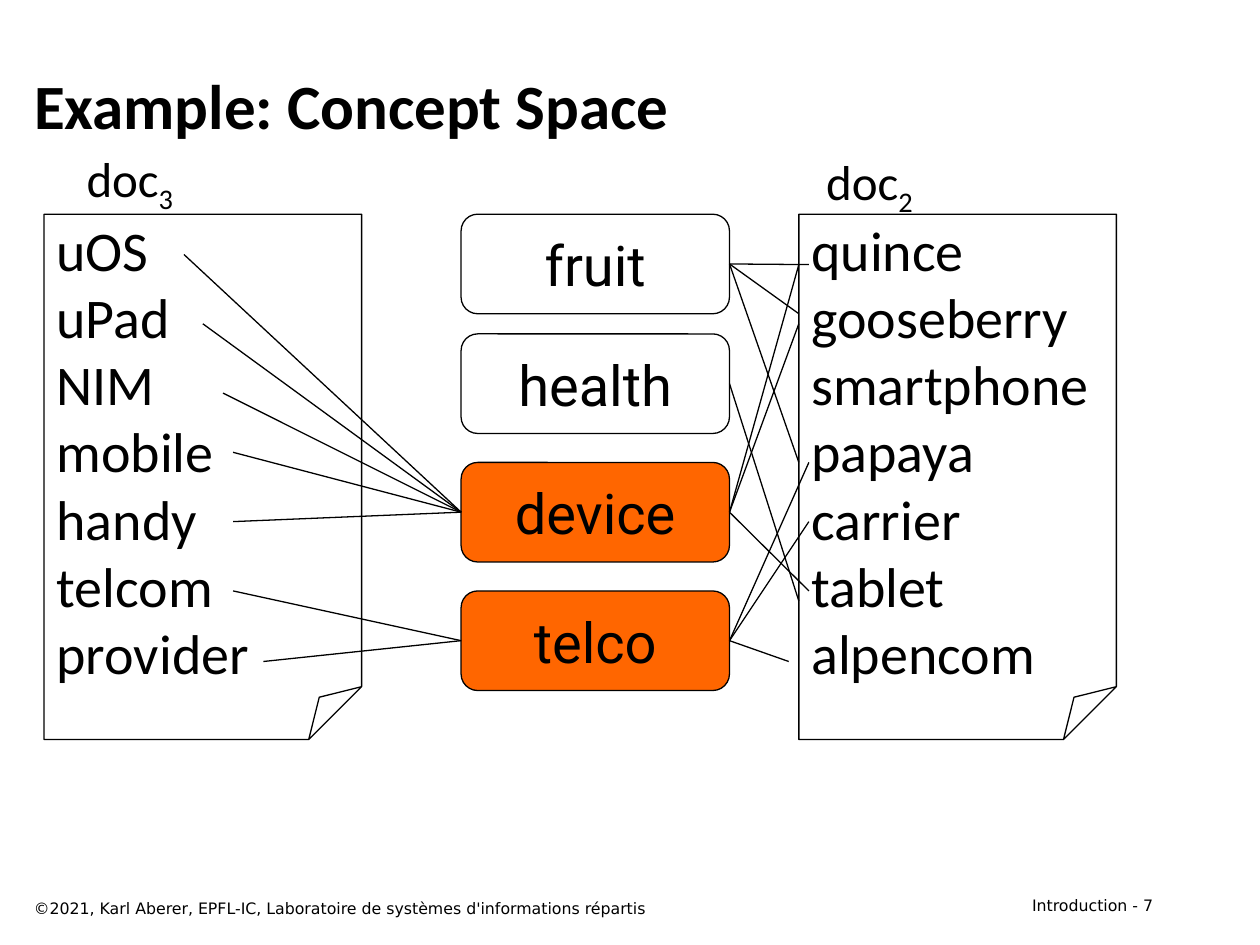
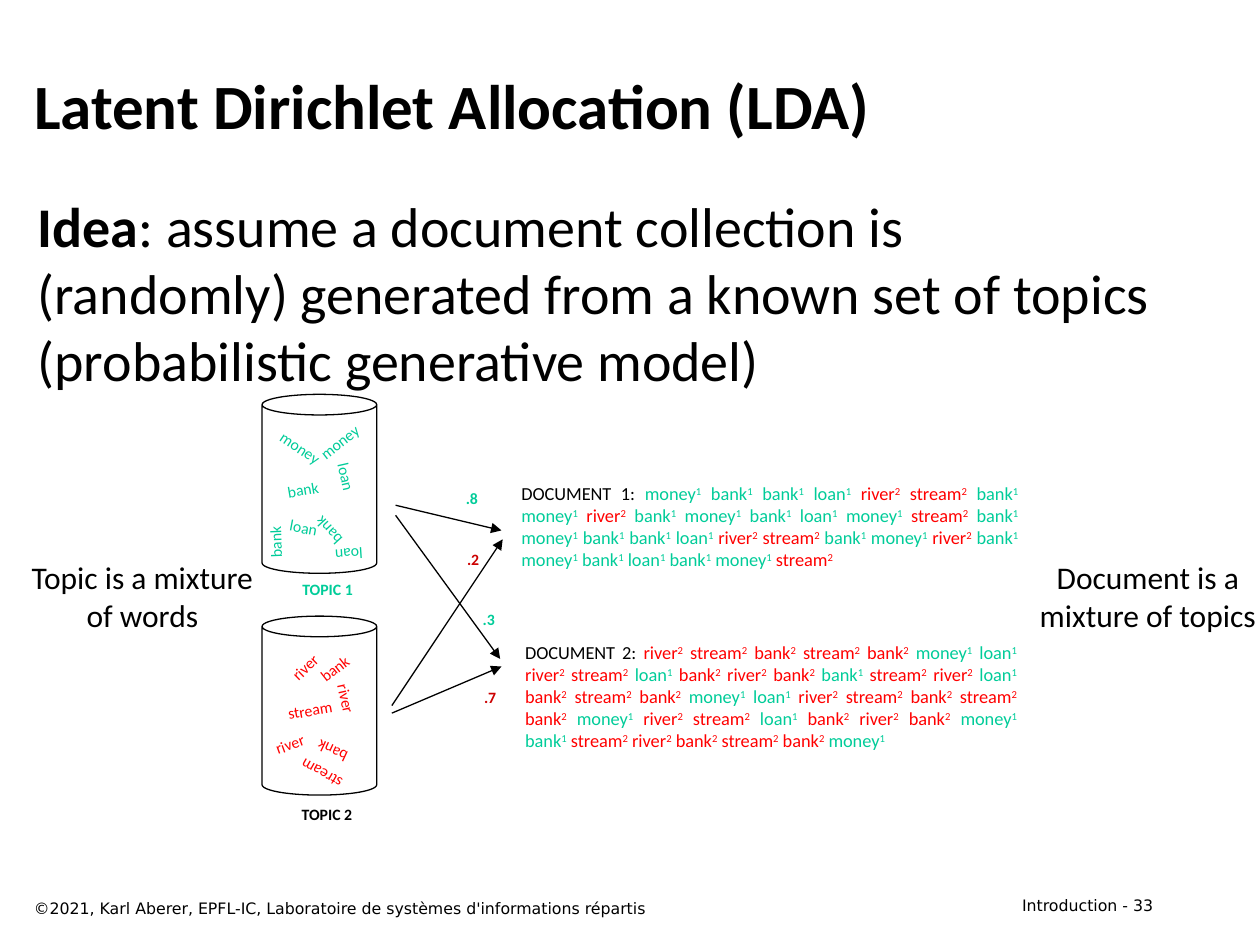
from dataclasses import dataclass
from typing import NamedTuple

from lxml.etree import SubElement
from pptx import Presentation
from pptx.dml.color import RGBColor
from pptx.enum.shapes import MSO_CONNECTOR as Line, MSO_SHAPE as Preset
from pptx.enum.text import MSO_ANCHOR as Anchor, PP_ALIGN as Align
from pptx.oxml.ns import qn
from pptx.util import Inches, Pt

COLUMNS, ROWS = 100, 75
WIDTH, HEIGHT = Inches(10), Inches(7.5)
TITLE_ONLY = 5
LEFT_SIDE, RIGHT_SIDE = 1, 3


@dataclass(frozen=True)
class Theme:
    """Colours, fonts and type sizes of the lecture."""
    ink: str = "000000"
    paper: str = "FFFFFF"
    match: str = "FF6600"
    topic_1: str = "00CC99"
    topic_2: str = "FF0000"
    share_2: str = "CC0000"
    body_font: str = "Calibri"
    concept_font: str = "Roboto"
    footer_font: str = "DejaVu Sans"
    title: float = 36
    body: float = 32
    label: float = 28
    remark: float = 18
    document: float = 10.5
    small: float = 9
    outline: float = 0.75


THEME = Theme()
TOPIC_COLORS = {"1": THEME.topic_1, "2": THEME.topic_2}


class Box(NamedTuple):
    """Left, top, width and height in grid columns and rows."""
    x: float
    y: float
    w: float
    h: float


class Point(NamedTuple):
    """A grid position."""
    x: float
    y: float


class Span(NamedTuple):
    """A piece of text that may differ from its paragraph."""
    text: str
    color: str | None = None
    bold: bool | None = None
    baseline: int = 0


class Style(NamedTuple):
    """How a paragraph looks."""
    size: float
    color: str = THEME.ink
    font: str = THEME.body_font
    bold: bool = False
    align: Align = Align.LEFT


class Concept(NamedTuple):
    """A concept and the places of the terms linked to it."""
    name: str
    y: float
    fill: str
    left_terms: list[Point]
    right_terms: list[Point]


class Page(NamedTuple):
    """A document sheet with its terms."""
    number: str
    x: float
    label: Point
    terms: str


class Tag(NamedTuple):
    """A word inside a topic, placed from the topic's corner."""
    word: str
    dx: float
    dy: float
    angle: float


class Topic(NamedTuple):
    """A topic cylinder and its words."""
    name: str
    y: float
    caption: Box
    caption_color: str
    word_color: str
    tags: list[Tag]


class Share(NamedTuple):
    """The share of a topic in a document."""
    value: str
    box: Box
    color: str
    start: Point
    end: Point


class Document(NamedTuple):
    """A generated document, each word ending in its topic number."""
    name: str
    box: Box
    lines: str


PAGES = [
    Page("3", 3.5, Point(5.7, 11.3), "uOS\nuPad\nNIM\nmobile\nhandy\ntelcom\nprovider"),
    Page("2", 63.4, Point(64.4, 11.5),
         "quince\ngooseberry\nsmartphone\npapaya\ncarrier\ntablet\nalpencom"),
]

CONCEPTS = [
    Concept("fruit", 17, THEME.paper, [],
            [Point(64.2, 21), Point(63.4, 24.9), Point(63.4, 36.7)]),
    Concept("health", 26.5, THEME.paper, [], [Point(63.4, 47.7)]),
    Concept("device", 36.7, THEME.match,
            [Point(14.6, 20.2), Point(16.1, 25.7), Point(17.7, 31.2),
             Point(18.5, 35.9), Point(18.5, 41.4)],
            [Point(63.4, 21), Point(63.4, 25.7), Point(64.2, 46.9)]),
    Concept("telco", 46.9, THEME.match,
            [Point(18.5, 46.9), Point(20.9, 52.5)],
            [Point(62.6, 52.5), Point(64.2, 41.4), Point(64.2, 36.7)]),
]

TAG_WIDTHS = {"money": 5.7, "stream": 5.6, "bank": 4.5, "loan": 4.4, "river": 4.4}

TOPICS = [
    Topic("TOPIC 1", 31.3, Box(22.5, 45.5, 7, 2.5), THEME.topic_1, THEME.topic_1, [
        Tag("money", 0.2, 3, 33.9), Tag("money", 3.3, 2.5, 321.9),
        Tag("loan", 4.5, 5.3, 77.2), Tag("bank", 1, 6.3, 350.3),
        Tag("loan", 1.1, 9.3, 10.8), Tag("bank", 3, 9.6, 227.4),
        Tag("bank", -1.2, 10.5, 267.8), Tag("loan", 4.7, 11.5, 176.2)]),
    Topic("TOPIC 2", 48.9, Box(22.6, 63.4, 6.7, 2.5), THEME.ink, THEME.topic_2, [
        Tag("river", 1.2, 2.8, 315.8), Tag("bank", 3.5, 2.9, 321.9),
        Tag("river", 4.5, 5.3, 77.2), Tag("stream", 1, 6.2, 350.3),
        Tag("river", 0, 8.9, 340), Tag("bank", 3.3, 9.5, 205),
        Tag("stream", 1.9, 11.3, 209.7)]),
]

SHARES = [
    Share(".8", Box(35.7, 38.3, 3.5, 2.5), THEME.topic_1, Point(31.4, 40.1), Point(39.8, 42.1)),
    Share(".2", Box(35.8, 43.1, 3.5, 2.5), THEME.share_2, Point(31.1, 56), Point(39.9, 42.8)),
    Share(".3", Box(37.3, 47.9, 3, 2.5), THEME.topic_1, Point(31.4, 40.9), Point(39.7, 52.3)),
    Share(".7", Box(37.4, 54.1, 3, 2.5), THEME.share_2, Point(31.1, 56.6), Point(39.8, 52.9)),
]

DOCUMENTS = [
    Document("DOCUMENT 1:", Box(40.4, 37.8, 41.4, 9.8),
             "money1 bank1 bank1 loan1 river2 stream2 bank1\n"
             "money1 river2 bank1 money1 bank1 loan1 money1 stream2 bank1\n"
             "money1 bank1 bank1 loan1 river2 stream2 bank1 money1 river2 bank1\n"
             "money1 bank1 loan1 bank1 money1 stream2"),
    Document("DOCUMENT 2:", Box(40.7, 50.4, 41, 12.5),
             "river2 stream2 bank2 stream2 bank2 money1 loan1\n"
             "river2 stream2 loan1 bank2 river2 bank2 bank1 stream2 river2 loan1\n"
             "bank2 stream2 bank2 money1 loan1 river2 stream2 bank2 stream2\n"
             "bank2 money1 river2 stream2 loan1 bank2 river2 bank2 money1\n"
             "bank1 stream2 river2 bank2 stream2 bank2 money1"),
]

REMARKS = [
    ("Topic is a mixture\nof words", Box(1.4, 43.8, 19.8, 7.1)),
    ("Document is a\nmixture of topics", Box(81.4, 43.8, 19.4, 7.1)),
]


def across(columns: float) -> int:
    """Turn grid columns into a length."""
    return round(WIDTH * columns / COLUMNS)


def down(rows: float) -> int:
    """Turn grid rows into a length."""
    return round(HEIGHT * rows / ROWS)


def place(box: Box) -> tuple[int, int, int, int]:
    """Turn a grid box into lengths."""
    return across(box.x), down(box.y), across(box.w), down(box.h)


def write(frame, spans: list[Span], style: Style) -> None:
    """Fill a text frame with one styled paragraph."""
    paragraph = frame.paragraphs[0]
    paragraph.alignment = style.align
    paragraph.space_before = Pt(0)
    font = paragraph.font
    font.name, font.size, font.bold = style.font, Pt(style.size), style.bold
    font.color.rgb = RGBColor.from_string(style.color)
    for span in spans:
        for index, line in enumerate(span.text.split("\n")):
            if index:
                paragraph.add_line_break()
            if not line:
                continue
            run = paragraph.add_run()
            run.text = line
            if span.color:
                run.font.color.rgb = RGBColor.from_string(span.color)
            if span.bold:
                run.font.bold = True
            if span.baseline:
                run.font._element.set("baseline", str(span.baseline * 1000))


def add_text(slide, box: Box, spans: list[Span], style: Style,
             wrap: bool = True, angle: float = 0) -> None:
    """Add a text box."""
    text_box = slide.shapes.add_textbox(*place(box))
    text_box.rotation = angle
    text_box.text_frame.word_wrap = wrap
    write(text_box.text_frame, spans, style)


def add_outline(slide, preset: Preset, box: Box, fill: str | None = None):
    """Add a thinly outlined preset shape."""
    shape = slide.shapes.add_shape(preset, *place(box))
    shape.shadow.inherit = False
    shape.line.color.rgb = RGBColor.from_string(THEME.ink)
    shape.line.width = Pt(THEME.outline)
    if fill:
        shape.fill.solid()
        shape.fill.fore_color.rgb = RGBColor.from_string(fill)
    else:
        shape.fill.background()
    shape.text_frame.vertical_anchor = Anchor.MIDDLE
    return shape


def add_line(slide, start: Point, end: Point, arrow: bool = False):
    """Add a thin straight line, with an arrowhead if asked."""
    line = slide.shapes.add_connector(
        Line.STRAIGHT, across(start.x), down(start.y), across(end.x), down(end.y))
    line.line.color.rgb = RGBColor.from_string(THEME.ink)
    line.line.width = Pt(THEME.outline)
    if arrow:
        SubElement(line.line._get_or_add_ln(), qn("a:tailEnd"), type="triangle")
    SubElement(line._element.spPr, qn("a:effectLst"))
    return line


def add_slide(deck, title: str, number: int):
    """Add a slide with the shared title and footers."""
    slide = deck.slides.add_slide(deck.slide_layouts[TITLE_ONLY])
    heading = slide.shapes.title
    heading.left, heading.top, heading.width, heading.height = place(Box(1.7, 3.3, 90.8, 10))
    heading.text_frame.vertical_anchor = Anchor.MIDDLE
    write(heading.text_frame, [Span(title)], Style(THEME.title, bold=True))
    footer = Style(THEME.small, font=THEME.footer_font)
    add_text(slide, Box(71.7, 70.6, 20.8, 2.5), [Span(f"Introduction - {number}")],
             footer._replace(align=Align.RIGHT))
    add_text(slide, Box(1.7, 70.8, 64.2, 2.5), [Span(
        "©2021, Karl Aberer, EPFL-IC, Laboratoire de systèmes d'informations répartis")], footer)
    return slide


def build_concept_space(deck) -> None:
    """Draw two documents linked through concepts."""
    slide = add_slide(deck, "Example: Concept Space", 7)
    for page in PAGES:
        sheet = add_outline(slide, Preset.FOLDED_CORNER, Box(page.x, 17, 25.2, 41.7))
        write(sheet.text_frame, [Span(page.terms)], Style(THEME.body))
        add_text(slide, Box(*page.label, 9.2, 5.7),
                 [Span("doc"), Span(page.number, baseline=-25)],
                 Style(THEME.label, align=Align.CENTER), wrap=False)
    for concept in CONCEPTS:
        node = add_outline(slide, Preset.ROUNDED_RECTANGLE,
                           Box(36.6, concept.y, 21.3, 7.9), concept.fill)
        write(node.text_frame, [Span(concept.name)],
              Style(THEME.body, font=THEME.concept_font, align=Align.CENTER))
        for side, terms in ((LEFT_SIDE, concept.left_terms), (RIGHT_SIDE, concept.right_terms)):
            for term in terms:
                add_line(slide, term, term).end_connect(node, side)


def build_allocation(deck) -> None:
    """Draw topics generating documents."""
    slide = add_slide(deck, "Latent Dirichlet Allocation (LDA)", 33)
    add_text(slide, Box(2, 14.7, 90.8, 55), [Span("Idea", bold=True), Span(
        ": assume a document collection is (randomly) generated from a known set of topics "
        "(probabilistic generative model)")], Style(THEME.body))
    small = Style(THEME.small, align=Align.CENTER)
    for topic in TOPICS:
        can = add_outline(slide, Preset.CAN, Box(20.8, topic.y, 9.1, 14.2))
        can.adjustments[0] = 0.18
        add_text(slide, topic.caption, [Span(topic.name)],
                 small._replace(color=topic.caption_color, bold=True))
        for tag in topic.tags:
            box = Box(20.8 + tag.dx, topic.y + tag.dy, TAG_WIDTHS[tag.word], 2.5)
            add_text(slide, box, [Span(tag.word)], small._replace(color=topic.word_color),
                     wrap=False, angle=tag.angle)
    for share in SHARES:
        add_line(slide, share.start, share.end, arrow=True)
        add_text(slide, share.box, [Span(share.value)],
                 small._replace(color=share.color, bold=True), wrap=False)
    for document in DOCUMENTS:
        spans = [Span(document.name + " ")]
        for row, line in enumerate(document.lines.split("\n")):
            for column, token in enumerate(line.split()):
                gap = " " if column else "\n" if row else ""
                color = TOPIC_COLORS[token[-1]]
                spans += [Span(gap + token[:-1], color), Span(token[-1], color, baseline=30)]
        add_text(slide, document.box, spans, Style(THEME.document, align=Align.JUSTIFY))
    for remark, box in REMARKS:
        add_text(slide, box, [Span(remark)], Style(THEME.remark, align=Align.CENTER), wrap=False)


def main() -> None:
    """Build and save the deck."""
    deck = Presentation()
    deck.slide_width, deck.slide_height = WIDTH, HEIGHT
    build_concept_space(deck)
    build_allocation(deck)
    deck.save("out.pptx")


if __name__ == "__main__":
    main()
